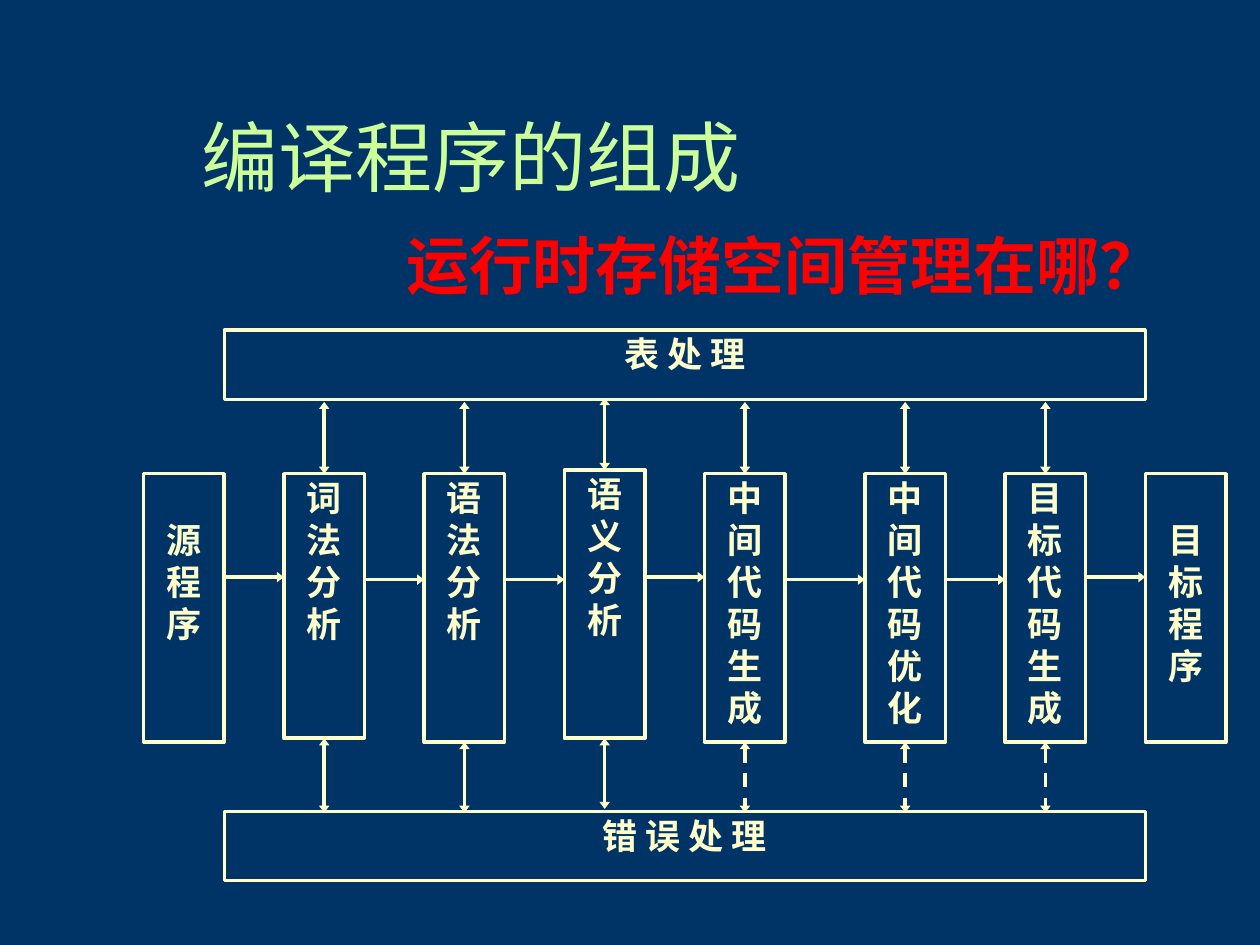
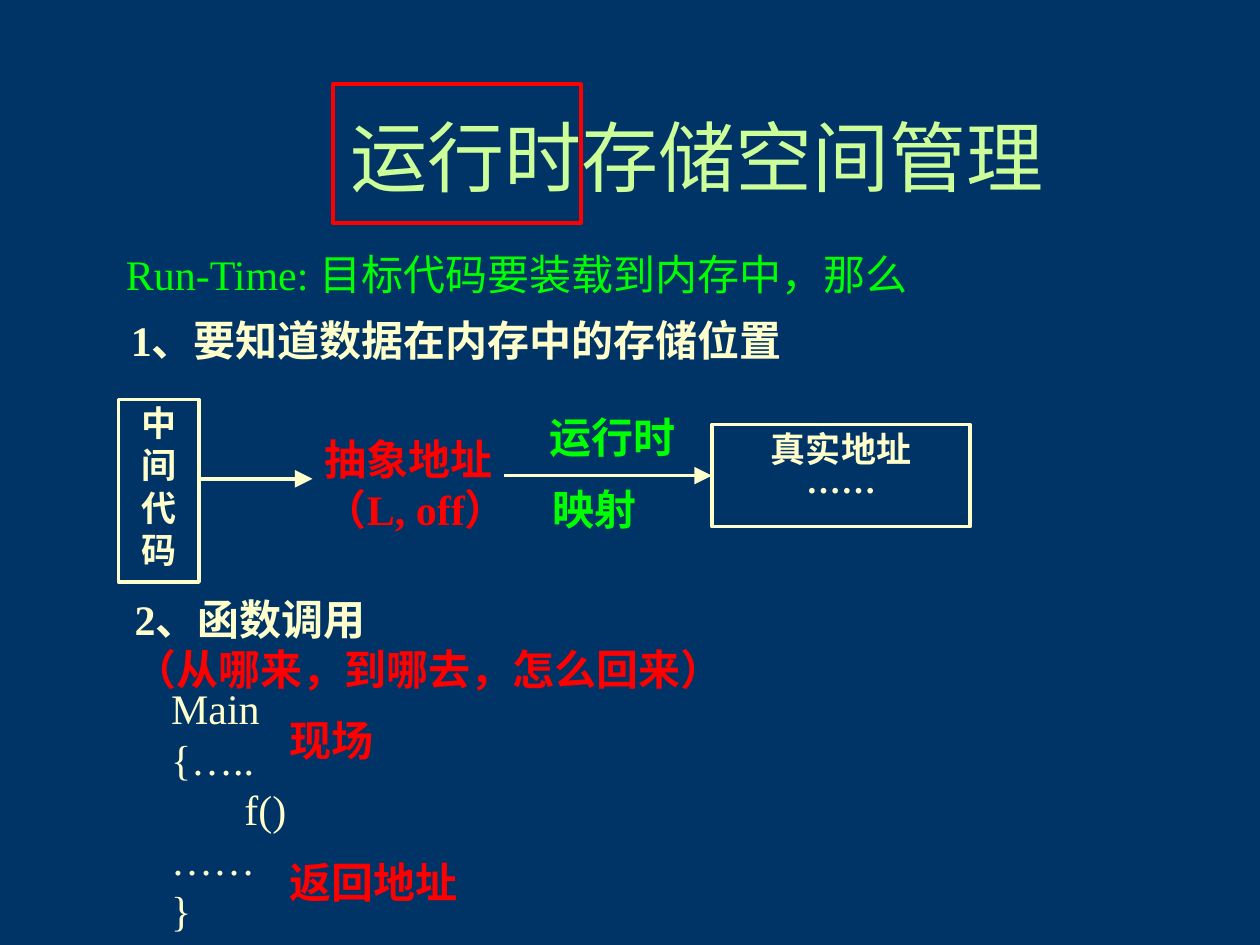
"""Build two slides on the parts of a compiler and run-time storage."""
from lxml import etree
from pptx import Presentation
from pptx.dml.color import RGBColor
from pptx.enum.dml import MSO_LINE
from pptx.enum.shapes import MSO_CONNECTOR, MSO_SHAPE
from pptx.enum.text import MSO_ANCHOR, PP_ALIGN
from pptx.oxml.ns import qn
from pptx.util import Inches, Pt

RECTANGLE = MSO_SHAPE.RECTANGLE
STRAIGHT = MSO_CONNECTOR.STRAIGHT
DASH = MSO_LINE.DASH
LEFT, CENTER = PP_ALIGN.LEFT, PP_ALIGN.CENTER
TOP, MIDDLE = MSO_ANCHOR.TOP, MSO_ANCHOR.MIDDLE
TOP_SIDE, LEFT_SIDE, BOTTOM_SIDE = 0, 1, 2

COLOURS = {
    "ground": "003366",
    "cream": "FFFFCC",
    "title": "CCFF99",
    "red": "FF0000",
    "green": "00FF00",
}
SANS, SERIF = "Noto Sans CJK SC", "Times New Roman"
COLUMNS, ROWS = 100, 75
TITLE_AREA = (15, 6.7, 80.7, 12.5)


def colour_of(name):
    """Return the named colour."""
    return RGBColor.from_string(COLOURS[name])


class SlideMaker:
    """Hold the shared style and the current slide."""

    def __init__(self, deck):
        """Measure the grid of the deck."""
        self.deck = deck
        self.column = deck.slide_width / COLUMNS
        self.row = deck.slide_height / ROWS
        self.page = None

    def new_page(self):
        """Start a blank page on the dark ground."""
        self.page = self.deck.slides.add_slide(self.deck.slide_layouts[6])
        fill = self.page.background.fill
        fill.solid()
        fill.fore_color.rgb = colour_of("ground")

    def place(self, *area):
        """Turn columns and rows into lengths."""
        units = (self.column, self.row) * 2
        return [round(cells * unit) for cells, unit in zip(area, units)]

    def fill_text(self, frame, lines, size, colours, bold, font, align, spacing=None):
        """Set one paragraph for each line."""
        frame.word_wrap = True
        for number, line in enumerate(lines):
            para = frame.add_paragraph() if number else frame.paragraphs[0]
            para.text = line
            para.alignment = align
            if spacing:
                para.line_spacing = spacing
            para.font.name = font
            para.font.size = Pt(size)
            para.font.bold = bold
            para.font.color.rgb = colour_of(colours[min(number, len(colours) - 1)])
            default = para._p.pPr.find(qn("a:defRPr"))
            etree.SubElement(default, qn("a:ea"), typeface=SANS)

    def text(self, area, *lines, colours=("cream",), size=24, bold=True,
             font=SERIF, align=LEFT, anchor=TOP, spacing=None):
        """Add a plain text box."""
        frame = self.page.shapes.add_textbox(*self.place(*area)).text_frame
        frame.vertical_anchor = anchor
        self.fill_text(frame, lines, size, colours, bold, font, align, spacing)

    def title(self, words, font, align, area=TITLE_AREA, colour="title",
              size=44, bold=False):
        """Add a heading set in tight lines."""
        self.text(area, words, colours=(colour,), size=size, bold=bold,
                  font=font, align=align, anchor=MIDDLE, spacing=0.85)

    def box(self, area, lines=(), colour="cream", weight=2, drop=0):
        """Add an outlined box, its text lowered by some rows."""
        shape = self.page.shapes.add_shape(RECTANGLE, *self.place(*area))
        shape.shadow.inherit = False
        shape.fill.background()
        shape.line.color.rgb = colour_of(colour)
        shape.line.width = Pt(weight)
        frame = shape.text_frame
        frame.vertical_anchor = TOP
        frame.margin_left = frame.margin_right = frame.margin_bottom = Inches(0.02)
        frame.margin_top = Inches(0.02) + round(drop * self.row)
        self.fill_text(frame, lines, 20, ("cream",), True, SANS, CENTER)
        return shape

    def arrow(self, start, end, both=False, dashed=False, width="med",
              length="sm", begin_at=None, end_at=None):
        """Add an arrow, joined to a (box, side) where one is given."""
        line = self.page.shapes.add_connector(STRAIGHT, *self.place(*start, *end))
        if begin_at:
            line.begin_connect(*begin_at)
        if end_at:
            line.end_connect(*end_at)
        line.line.color.rgb = colour_of("cream")
        line.line.width = Pt(2)
        if dashed:
            line.line.dash_style = DASH
        outline = line.line._get_or_add_ln()
        for tag in ("a:headEnd", "a:tailEnd") if both else ("a:tailEnd",):
            etree.SubElement(outline, qn(tag), type="triangle", w=width, len=length)
        etree.SubElement(line._element.spPr, qn("a:effectLst"))


def compiler_parts(maker):
    """Draw the stages of a compiler between its two shared services."""
    maker.new_page()
    maker.title("编译程序的组成", SANS, LEFT)
    for top, words in ((26.2, "表 处 理"), (64.4, "错 误 处 理")):
        maker.box((17.8, top, 73.1, 5.5), [words])

    stages = ["源程序", "词法分析", "语法分析", "语义分析",
              "中间代码生成", "中间代码优化", "目标代码生成", "目标程序"]
    width, pitch, extra_gap = 6.4, 11.13, 1.59
    lefts = [11.4 + pitch * i + extra_gap * (i > 4) for i in range(len(stages))]
    last = len(stages) - 1
    for i, (left, name) in enumerate(zip(lefts, stages)):
        is_program = i in (0, last)
        lift = 0.3 if name == "语义分析" else 0
        height = 21 if name == "词法分析" else 21.3
        stage = maker.box((left, 37.6 - lift, width, height), list(name),
                          drop=3.33 if is_program else 0)
        if i < last:
            level = 46 if i % 3 else 45.8
            maker.arrow((left + width, level), (lefts[i + 1], level))
        if not is_program:
            middle = left + width / 2
            maker.arrow((middle, 31.9 - lift), (middle, 37.6 - lift), both=True,
                        end_at=(stage, TOP_SIDE))
            maker.arrow((middle, 58.9 - lift), (middle, 64.5 - lift), both=True,
                        dashed=i > 3, begin_at=(stage, BOTTOM_SIDE))

    maker.title("运行时存储空间管理在哪？", SERIF, CENTER,
                area=(21.9, 15.2, 80.7, 12.5), colour="red", size=36, bold=True)


def run_time_storage(maker):
    """Show address mapping and function calls at run time."""
    maker.new_page()
    maker.title("运行时存储空间管理", SERIF, CENTER)
    maker.box((26.4, 6.7, 19.7, 11), colour="red", weight=2.25)
    maker.text((9, 19.2, 81.9, 5), "Run-Time: 目标代码要装载到内存中，那么",
               colours=("green",), bold=False)
    maker.text((9.4, 24.5, 55.3, 5), "1、要知道数据在内存中的存储位置")
    maker.text((9.7, 46.6, 55.3, 9), "2、函数调用", "（从哪来，到哪去，怎么回来）",
               colours=("cream", "red"))

    maker.box((9.4, 31.7, 6.4, 14.5), list("中间代码"))
    real_address = maker.box((56.5, 33.7, 20.5, 8.1), ["真实地址", "……"])
    maker.arrow((15.8, 38), (24.8, 38), width="lg", length="lg")
    maker.arrow((40, 37.75), (56.5, 37.75), width="lg", length="lg",
                end_at=(real_address, LEFT_SIDE))

    labels = [
        ((42.6, 32.2, 22, 5), "运行时", "green"),
        ((42.9, 37.9, 22, 5), "映射", "green"),
        ((24.8, 33.9, 17.8, 13), "抽象地址（L, off）", "red"),
        ((22, 56.2, 17.8, 5), "现场", "red"),
        ((22, 67.5, 17.8, 5), "返回地址", "red"),
    ]
    for area, words, colour in labels:
        maker.text(area, words, colours=(colour,))
    maker.text((12.6, 53.7, 15.4, 21), "Main", "{…..", "       f()", "……", "}",
               bold=False)


def main():
    """Build and save the deck."""
    deck = Presentation()
    deck.slide_width, deck.slide_height = Inches(10), Inches(7.5)
    maker = SlideMaker(deck)
    compiler_parts(maker)
    run_time_storage(maker)
    deck.save("out.pptx")


if __name__ == "__main__":
    main()
